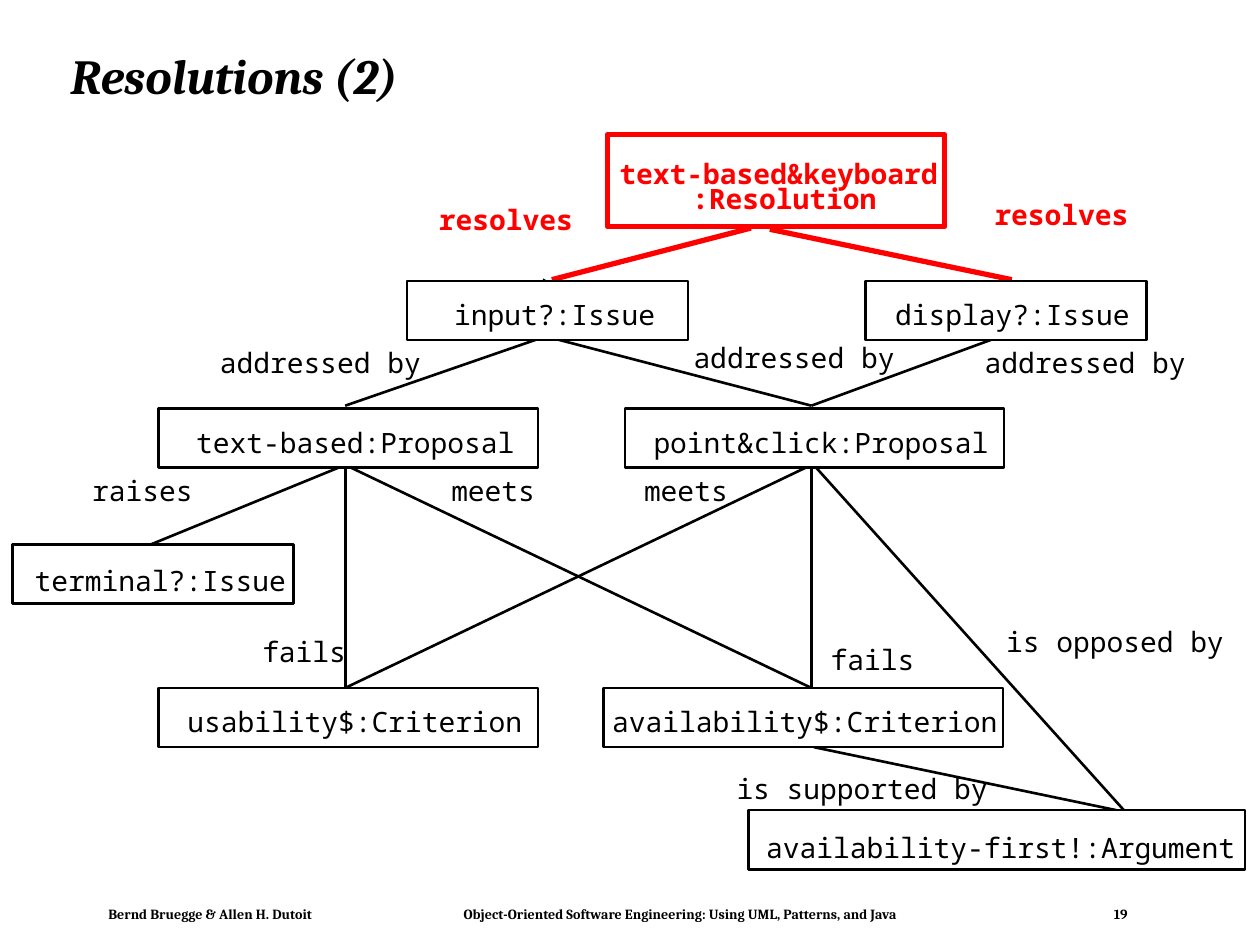
from lxml import etree
from pptx import Presentation
from pptx.dml.color import RGBColor
from pptx.enum.shapes import MSO_CONNECTOR, MSO_SHAPE
from pptx.enum.text import MSO_ANCHOR, MSO_AUTO_SIZE, PP_ALIGN
from pptx.oxml.ns import qn
from pptx.util import Inches, Pt

STRAIGHT = MSO_CONNECTOR.STRAIGHT
RECTANGLE = MSO_SHAPE.RECTANGLE
MIDDLE, TOP = MSO_ANCHOR.MIDDLE, MSO_ANCHOR.TOP
LEFT, CENTER = PP_ALIGN.LEFT, PP_ALIGN.CENTER
NO_AUTO_SIZE = MSO_AUTO_SIZE.NONE

BLACK, RED, WHITE = "000000", "FF0000", "FFFFFF"
TITLE_ONLY = 5
CHARACTER_WIDTH = 0.1337  # one 16 pt monospaced character, in inches
LABEL_HEIGHT = 0.27
NODE_HEIGHT = 0.47


def color(value):
    return RGBColor.from_string(value)


class IssueDiagram:
    heading_font = "Cambria"
    label_font = "Noto Sans Mono"

    def __init__(self, slide):
        self.slide = slide

    def place(self, shape, left, top, width, height):
        shape.left, shape.top = Inches(left), Inches(top)
        shape.width, shape.height = Inches(width), Inches(height)

    def frame(self, shape, margins=(0, 0), anchor=TOP, wrap=False):
        frame = shape.text_frame
        frame.auto_size = NO_AUTO_SIZE
        frame.word_wrap = wrap
        frame.vertical_anchor = anchor
        frame.margin_left = frame.margin_right = Inches(margins[0])
        frame.margin_top = frame.margin_bottom = Inches(margins[1])
        return frame

    def run(self, paragraph, text, font, size, value=BLACK, bold=False, italic=False):
        run = paragraph.add_run()
        run.text = text
        run.font.name, run.font.size = font, Pt(size)
        run.font.bold, run.font.italic = bold, italic
        run.font.color.rgb = color(value)

    def title(self, text):
        title = self.slide.shapes.title
        self.place(title, 0.46, 0.24, 8.92, 0.77)
        paragraph = self.frame(title, (0.1, 0.05), MIDDLE, True).paragraphs[0]
        paragraph.alignment = LEFT
        paragraph.line_spacing = 0.9
        self.run(paragraph, text, self.heading_font, 28, bold=True, italic=True)

    def footer(self, text, tab_positions):
        box = self.slide.shapes.add_textbox(
            Inches(0.78), Inches(7.15), Inches(8.27), Inches(0.21))
        paragraph = self.frame(box, (0.08, 0.04)).paragraphs[0]
        paragraph.alignment = LEFT
        properties = paragraph._p.get_or_add_pPr()
        tabs = etree.SubElement(properties, qn("a:tabLst"))
        for position in tab_positions:
            etree.SubElement(tabs, qn("a:tab"), pos=str(Inches(position)), algn="l")
        self.run(paragraph, text, self.heading_font, 8, bold=True)

    def label(self, text, left, top, value=BLACK):
        """Add a label as wide as its text; red ones are bold."""
        box = self.slide.shapes.add_textbox(
            Inches(left), Inches(top),
            Inches(len(text) * CHARACTER_WIDTH), Inches(LABEL_HEIGHT))
        paragraph = self.frame(box).paragraphs[0]
        paragraph.alignment = CENTER
        self.run(paragraph, text, self.label_font, 16, value, bold=value == RED)

    def box(self, left, top, width, height=NODE_HEIGHT, value=BLACK, weight=1.5):
        box = self.slide.shapes.add_shape(
            RECTANGLE, Inches(left), Inches(top), Inches(width), Inches(height))
        box.shadow.inherit = False
        box.fill.solid()
        box.fill.fore_color.rgb = color(WHITE)
        box.line.color.rgb = color(value)
        box.line.width = Pt(weight)

    def link(self, start, end, value=BLACK, weight=1.5):
        link = self.slide.shapes.add_connector(
            STRAIGHT, *(Inches(number) for number in (*start, *end)))
        link.line.color.rgb = color(value)
        link.line.width = Pt(weight)
        etree.SubElement(link._element.spPr, qn("a:effectLst"))

    def outline(self, points):
        corners = [(Inches(x), Inches(y)) for x, y in points]
        builder = self.slide.shapes.build_freeform(*corners[0])
        builder.add_line_segments(corners[1:], close=True)
        shape = builder.convert_to_shape()
        shape.shadow.inherit = False
        shape.fill.solid()
        shape.fill.fore_color.rgb = color(BLACK)
        shape.line.fill.background()


INPUT_BOTTOM = (4.33, 2.67)
TEXT_TOP, TEXT_BOTTOM = (2.74, 3.22), (2.74, 3.69)
POINT_TOP, POINT_BOTTOM = (6.44, 3.22), (6.44, 3.69)
USABILITY_TOP, AVAILABILITY_TOP = (2.74, 5.46), (6.44, 5.46)

RESOLVING_LINKS = [((4.38, 2.22), (5.96, 1.81)), ((8.03, 2.22), (6.11, 1.82))]
LINKS = [
    (INPUT_BOTTOM, TEXT_TOP),
    (INPUT_BOTTOM, POINT_TOP),
    ((7.94, 2.67), POINT_TOP),
    (TEXT_BOTTOM, (1.2, 4.32)),
    (TEXT_BOTTOM, USABILITY_TOP),
    (TEXT_BOTTOM, AVAILABILITY_TOP),
    (POINT_BOTTOM, USABILITY_TOP),
    (POINT_BOTTOM, AVAILABILITY_TOP),
    ((6.44, 3.67), (8.92, 6.43)),
    ((6.46, 5.93), (8.86, 6.43)),
]
# Text, box left, top and width, then label left and top
NODES = [
    ("input?:Issue", 3.23, 2.23, 2.23, 3.6, 2.36),
    ("display?:Issue", 6.87, 2.23, 2.23, 7.1, 2.36),
    ("text-based:Proposal", 1.26, 3.24, 3.01, 1.55, 3.38),
    ("point&click:Proposal", 4.96, 3.24, 3.01, 5.18, 3.38),
    ("terminal?:Issue", 0.1, 4.32, 2.23, 0.27, 4.47),
    ("usability$:Criterion", 1.26, 5.46, 3.01, 1.48, 5.59),
    ("availability$:Criterion", 4.79, 5.46, 3.17, 4.85, 5.59),
    ("availability-first!:Argument", 5.94, 6.43, 3.94, 6.07, 6.59),
]
LINK_LABELS = [
    ("addressed by", 1.74, 2.74),
    ("addressed by", 5.5, 2.7),
    ("addressed by", 7.81, 2.74),
    ("raises", 0.73, 3.76),
    ("meets", 3.58, 3.76),
    ("meets", 5.11, 3.76),
    ("fails", 2.08, 5.04),
    ("fails", 6.59, 5.1),
    ("is opposed by", 7.98, 4.96),
    ("is supported by", 5.84, 6.12),
]
RESOLUTION_LABELS = [
    ("text-based&keyboard", 4.91, 1.24),
    (":Resolution", 5.49, 1.44),
    ("resolves", 3.48, 1.61),
    ("resolves", 7.89, 1.57),
]


def main():
    presentation = Presentation()
    presentation.slide_width, presentation.slide_height = Inches(10), Inches(7.5)
    layout = presentation.slide_layouts[TITLE_ONLY]
    diagram = IssueDiagram(presentation.slides.add_slide(layout))

    diagram.title("Resolutions (2)")
    diagram.footer(
        "Bernd Bruegge & Allen H. Dutoit\t"
        "Object-Oriented Software Engineering: Using UML, Patterns, and Java\t19",
        (2.82, 7.98))

    for start, end in RESOLVING_LINKS:
        diagram.link(start, end, RED, 3)
    for start, end in LINKS:
        diagram.link(start, end)
    diagram.outline([(4.35, 2.23), (4.35, 2.25), (4.31, 2.23), (4.31, 2.21)])

    diagram.box(4.82, 1.07, 2.68, 0.73, RED, 2.88)
    for text, left, top, width, label_left, label_top in NODES:
        diagram.box(left, top, width)
        diagram.label(text, label_left, label_top)
    for text, left, top in LINK_LABELS:
        diagram.label(text, left, top)
    for text, left, top in RESOLUTION_LABELS:
        diagram.label(text, left, top, RED)

    presentation.save("out.pptx")


if __name__ == "__main__":
    main()
